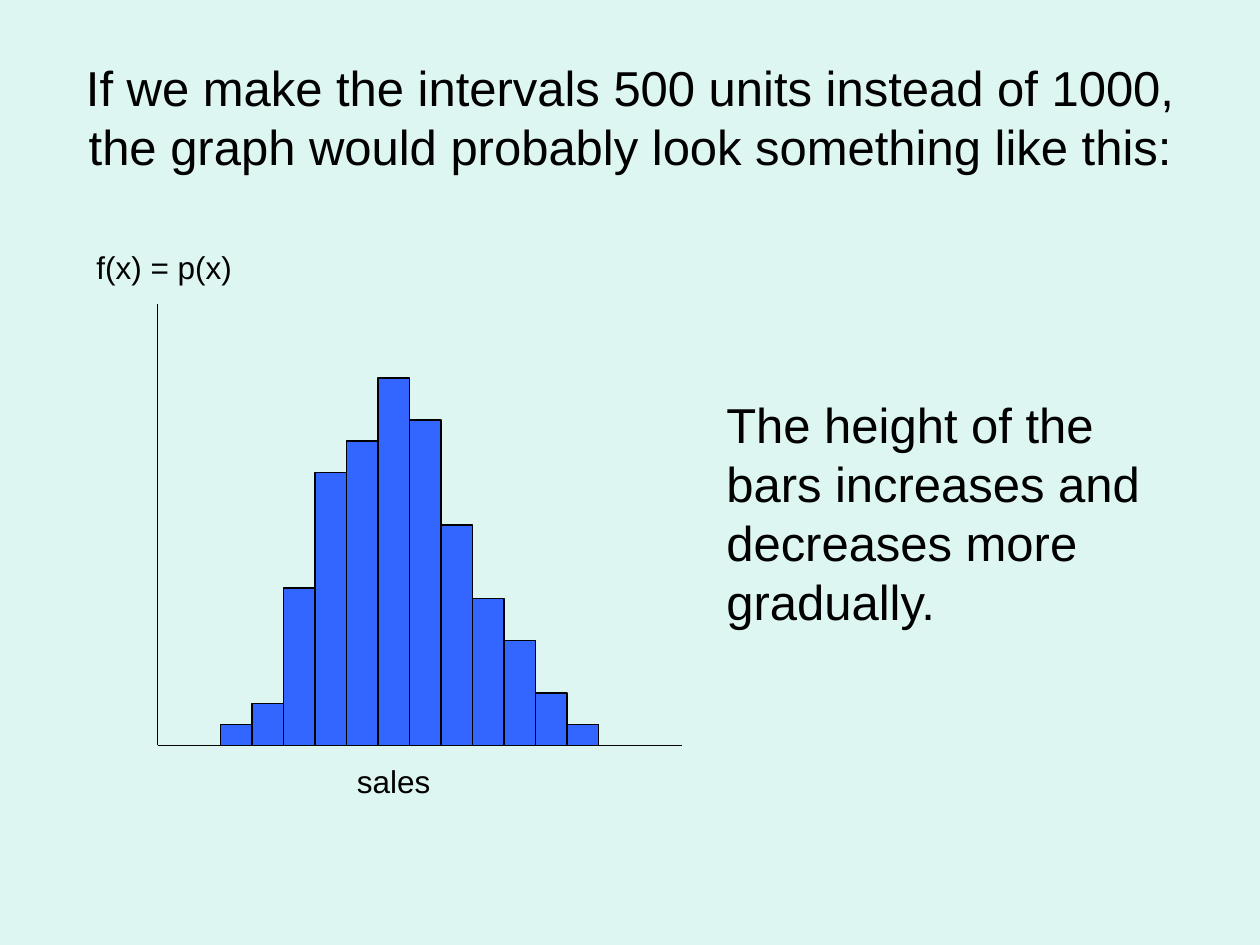
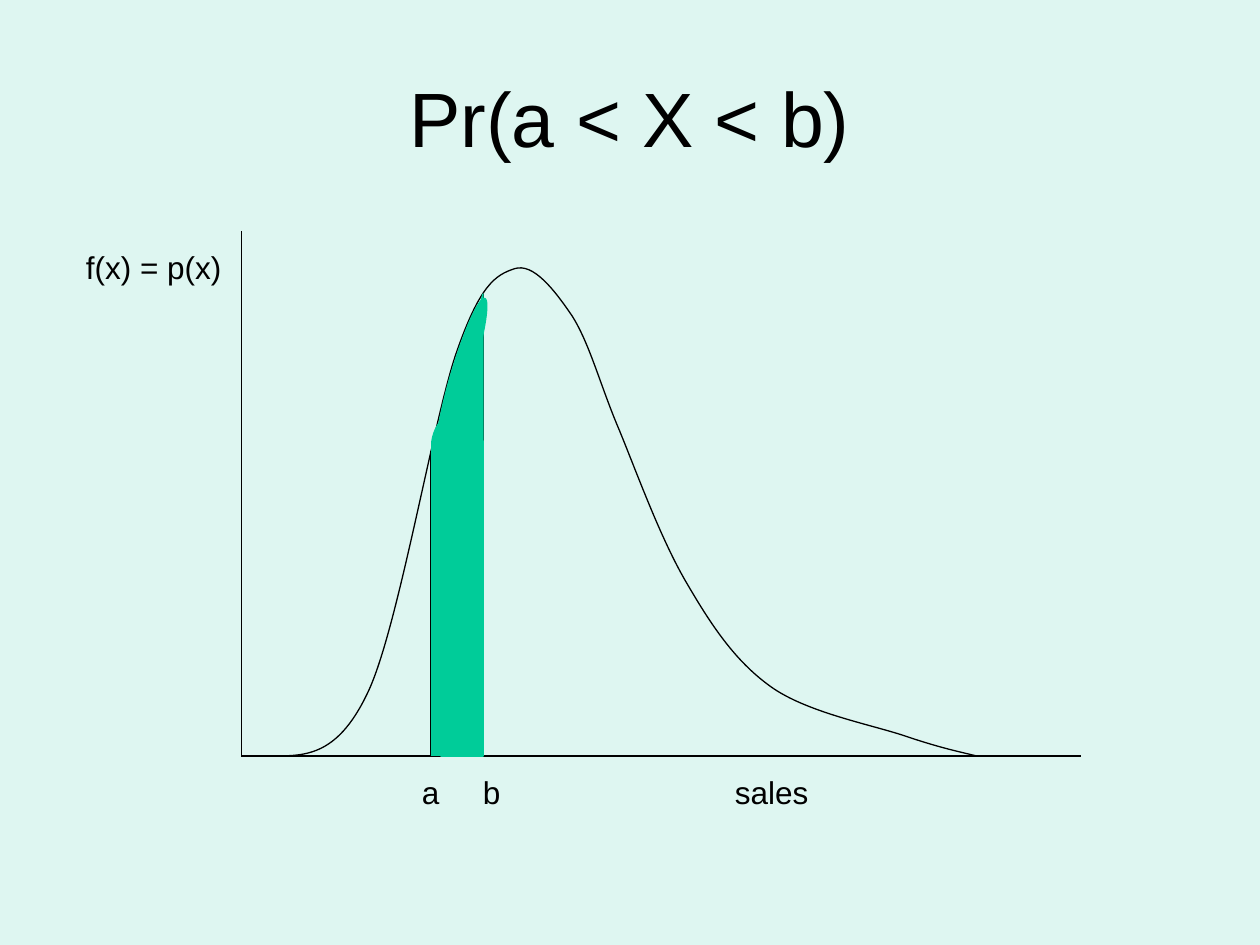
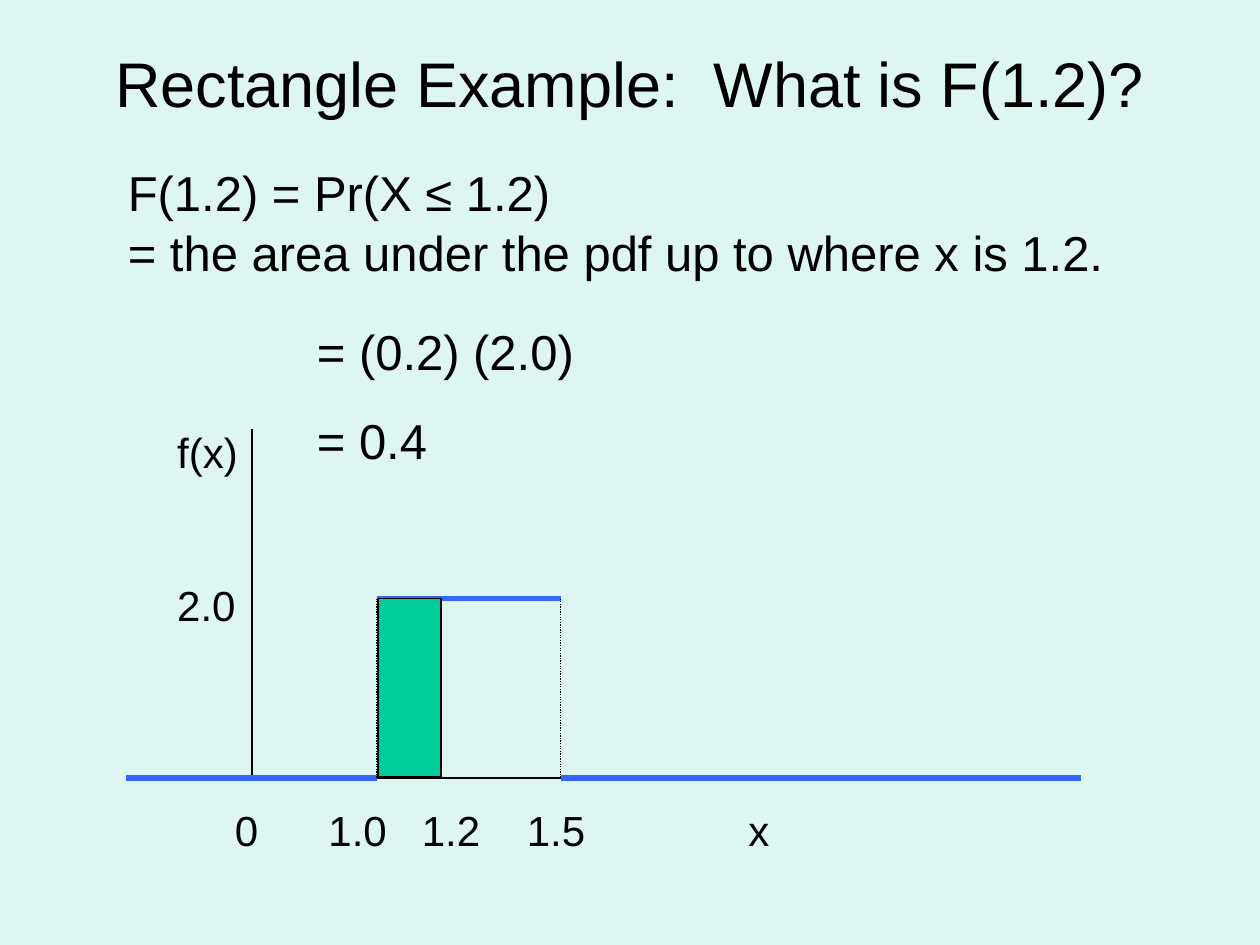
from dataclasses import dataclass

from lxml.etree import SubElement
from pptx import Presentation
from pptx.dml.color import RGBColor as RGB
from pptx.enum.dml import MSO_LINE as DASH
from pptx.enum.shapes import MSO_CONNECTOR as CONN, MSO_SHAPE as SHAPE
from pptx.enum.text import MSO_ANCHOR as ANCHOR, PP_ALIGN as ALIGN
from pptx.oxml.ns import qn
from pptx.util import Emu, Pt

PX = 7620  # EMU per px, 120 px to the inch
FONT = "Arial"
COLORS = {"bg": "DEF6F1", "ink": "000000", "blue": "3366FF", "green": "00CC99"}


@dataclass
class Label:
    """A text box; each line is a paragraph, tabs are px from the text edge."""
    lines: tuple[str, ...]
    x: int
    y: int
    w: int
    h: int
    size: int = 18
    align: ALIGN = ALIGN.LEFT
    anchor: ANCHOR = ANCHOR.TOP
    gap: float = 0
    spacing: float | None = None
    indent: int = 0
    tabs: tuple[int, ...] = ()


@dataclass
class Rule:
    """A straight line between two points."""
    x1: int
    y1: int
    x2: int
    y2: int
    color: str = "ink"
    width: float = 0.75
    dash: DASH | None = None


@dataclass
class Block:
    """A filled preset shape."""
    x: int
    y: int
    w: int
    h: int
    fill: str = "green"
    line: str = "green"
    kind: SHAPE = SHAPE.RECTANGLE
    angle: float = 0
    flip: bool = False


def px(n: int) -> Emu:
    return Emu(n * PX)


def rgb(name: str) -> RGB:
    return RGB.from_string(COLORS[name])


def add_label(s, lb: Label) -> None:
    tf = s.shapes.add_textbox(px(lb.x), px(lb.y), px(lb.w), px(lb.h)).text_frame
    tf.word_wrap = True
    tf.vertical_anchor = lb.anchor
    for i, line in enumerate(lb.lines):
        p = tf.paragraphs[0] if i == 0 else tf.add_paragraph()
        p.alignment = lb.align
        if lb.spacing:
            p.line_spacing = lb.spacing
        if i:
            p.space_before = Pt(lb.gap)
        pPr = p._p.get_or_add_pPr()
        if lb.indent:
            pPr.set("marL", str(px(lb.indent)))
        if lb.tabs:
            tab_list = SubElement(pPr, qn("a:tabLst"))
            for pos in lb.tabs:
                SubElement(tab_list, qn("a:tab"), pos=str(px(pos)), algn="l")
        r = p.add_run()
        r.text = line
        r.font.name, r.font.size = FONT, Pt(lb.size)
        r.font.color.rgb = rgb("ink")


def add_title(s, text: str, size: int, h: int = 150) -> None:
    add_label(s, Label((text,), 60, 36, 1080, h, size, ALIGN.CENTER, ANCHOR.MIDDLE))


def add_rule(s, ru: Rule) -> None:
    c = s.shapes.add_connector(CONN.STRAIGHT, px(ru.x1), px(ru.y1), px(ru.x2), px(ru.y2))
    c.line.color.rgb = rgb(ru.color)
    c.line.width = Pt(ru.width)
    if ru.dash:
        c.line.dash_style = ru.dash
    SubElement(c.element.spPr, qn("a:effectLst"))


def add_axes(s, x: int, top: int, base: int, right: int) -> None:
    add_rule(s, Rule(x, top, x, base))
    add_rule(s, Rule(x, base, right, base))


def add_block(s, b: Block) -> None:
    sp = s.shapes.add_shape(b.kind, px(b.x), px(b.y), px(b.w), px(b.h))
    sp.shadow.inherit = False
    sp.fill.solid()
    sp.fill.fore_color.rgb = rgb(b.fill)
    sp.line.color.rgb = rgb(b.line)
    sp.line.width = Pt(0.75)
    sp.rotation = b.angle
    if b.flip:
        sp.element.spPr.find(qn("a:xfrm")).set("flipH", "1")


def add_curve(s, knots: list[tuple[int, int]]) -> None:
    """Draw joined cubic Béziers; knots are start, then two handles and an end each."""
    fb = s.shapes.build_freeform(*knots[0], scale=PX)
    fb.add_line_segments(knots[1:], close=False)
    sp = fb.convert_to_shape()
    # Turn each three line steps into one cubic segment
    steps = list(sp.element.iter(qn("a:lnTo")))
    outline = steps[0].getparent()
    for i in range(0, len(steps), 3):
        cubic = SubElement(outline, qn("a:cubicBezTo"))
        for step in steps[i:i + 3]:
            cubic.append(step[0])
            outline.remove(step)
    sp.shadow.inherit = False
    sp.fill.background()
    sp.line.color.rgb = rgb("ink")
    sp.line.width = Pt(0.75)


def histogram_slide(s) -> None:
    add_title(s, "If we make the intervals 500 units instead of 1000, "
                 "the graph would probably look something like this:", 28)
    base, first, bar_w = 710, 210, 30
    add_axes(s, 150, 290, base, 650)
    add_label(s, Label(("sales",), 120, 720, 520, 48, indent=208))
    add_label(s, Label(("f(x) = p(x)",), 80, 230, 160, 48))
    heights = (20, 40, 150, 260, 290, 350, 310, 210, 140, 100, 50, 20)
    for i, h in enumerate(heights):
        add_block(s, Block(first + i * bar_w, base - h, bar_w, h, "blue", "ink"))
    add_label(s, Label(("The height of the bars increases and decreases more gradually.",),
                       680, 370, 420, 236, 28))


def density_slide(s) -> None:
    add_title(s, "Pr(a < X < b)", 44)
    base = 720
    add_axes(s, 230, 220, base, 1030)
    add_curve(s, [
        (260, 720), (292, 720), (323, 720), (352, 656),
        (380, 593), (412, 404), (434, 338),
        (457, 271), (472, 262), (490, 256),
        (508, 250), (528, 276), (545, 301),
        (562, 328), (572, 368), (590, 410),
        (608, 454), (630, 515), (655, 557),
        (679, 598), (702, 632), (737, 656),
        (773, 680), (834, 691), (865, 702),
        (898, 713), (914, 716), (930, 720)])
    add_label(s, Label(("f(x) = p(x)",), 70, 230, 160, 48))
    add_label(s, Label(("sales",), 430, 730, 610, 48, align=ALIGN.CENTER))
    add_label(s, Label(("a\tb",), 390, 730, 170, 48, tabs=(58,)))
    # Shaded area between a and b
    add_rule(s, Rule(410, base, 410, 430))
    add_rule(s, Rule(460, base, 460, 280))
    add_block(s, Block(420, 420, 40, 300))
    add_block(s, Block(420, 280, 40, 140, kind=SHAPE.RIGHT_TRIANGLE, flip=True))
    add_block(s, Block(430, 281, 20, 150, kind=SHAPE.OVAL, angle=196.8))
    add_rule(s, Rule(420, base, 420, 420, "green", 12))
    add_block(s, Block(403, 409, 30, 10, kind=SHAPE.OVAL, angle=109.3))


def rectangle_slide(s) -> None:
    add_title(s, "Rectangle Example:  What is F(1.2)?", 36, 84)
    add_label(s, Label(("F(1.2) = Pr(X ≤ 1.2)",
                        "= the area under the pdf up to where x is 1.2."),
                       110, 160, 1030, 120, 28, gap=7, spacing=0.8))
    base, top, left, mid, right = 741, 570, 359, 420, 534
    add_axes(s, 240, 409, base, 700)
    add_label(s, Label(("0\t1.0\t1.2\t1.5\tx",), 212, 760, 661, 60, 24,
                       tabs=(89, 178, 278, 489)))
    add_label(s, Label(("f(x)", "2.0"), 157, 400, 83, 206, 24, gap=58.8))
    # Density: zero outside the interval, flat inside it
    for x1, x2, y in ((120, left, base), (right, 1030, base), (left, right, top)):
        add_rule(s, Rule(x1, y, x2, y, "blue", 3))
    for x in (left, right):
        add_rule(s, Rule(x, top, x, base, dash=DASH.ROUND_DOT))
    add_rule(s, Rule(mid, top, mid, base))
    add_block(s, Block(360, top, 60, 170, line="ink"))
    add_label(s, Label(("= (0.2) (2.0)", "= 0.4"), 290, 300, 760, 154, 28, gap=17.5))


def main() -> None:
    prs = Presentation()
    prs.slide_width, prs.slide_height = px(1200), px(900)
    bg = prs.slide_master.background.fill
    bg.solid()
    bg.fore_color.rgb = rgb("bg")
    for draw in (histogram_slide, density_slide, rectangle_slide):
        draw(prs.slides.add_slide(prs.slide_layouts[6]))
    prs.save("out.pptx")


if __name__ == "__main__":
    main()
